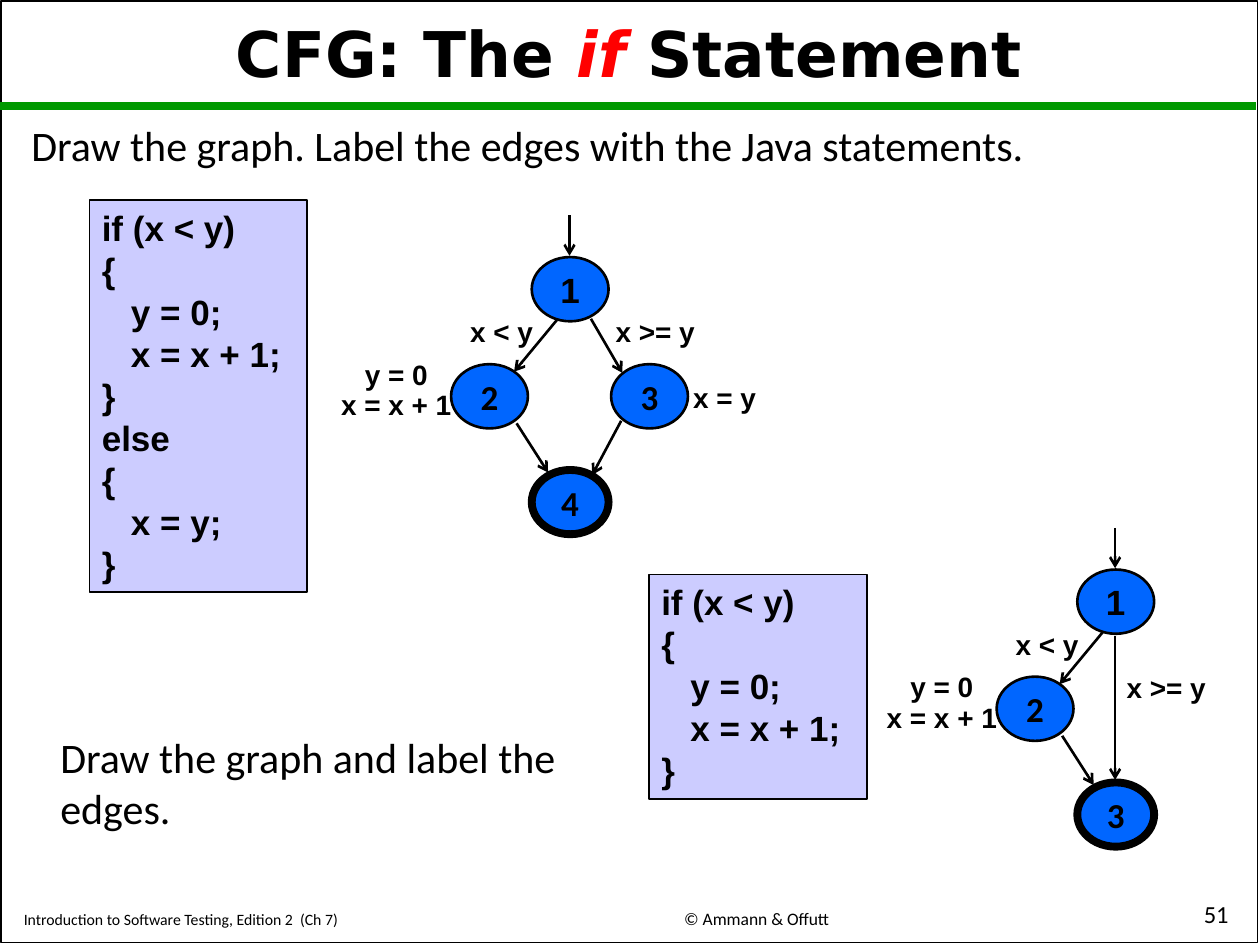
"""Build a slide with control flow graphs for if-else and if statements."""
from lxml import etree
from pptx import Presentation
from pptx import util as u
from pptx.dml.color import RGBColor
from pptx.enum import shapes, text
from pptx.oxml import ns

PX = 9144
COLORS = {"ink": "000000", "rule": "009900", "accent": "FF0000",
          "code": "CCCCFF", "node": "0066FF", "paper": "FFFFFF"}
LEFT, CENTER, RIGHT = text.PP_ALIGN.LEFT, text.PP_ALIGN.CENTER, text.PP_ALIGN.RIGHT
TOP, MIDDLE, BOTTOM = text.MSO_ANCHOR.TOP, text.MSO_ANCHOR.MIDDLE, text.MSO_ANCHOR.BOTTOM


def color(name):
    return RGBColor.from_string(COLORS[name])


class Board:
    """Holds the style and the current slide."""

    def __init__(self, slide):
        self.slide = slide
        self.target = slide.shapes

    def group(self):
        self.target = self.slide.shapes.add_group_shape().shapes

    def ungroup(self):
        self.target = self.slide.shapes

    def style(self, run, size, font, bold=False, ink="ink"):
        run.font.size, run.font.name, run.font.bold = u.Pt(size), font, bold
        run.font.color.rgb = color(ink)

    def set_words(self, frame, words, size, font, bold=False, align=LEFT, anchor=TOP):
        frame.text = words
        frame.word_wrap = True
        frame.vertical_anchor = anchor
        for paragraph in frame.paragraphs:
            paragraph.alignment = align
            for run in paragraph.runs:
                self.style(run, size, font, bold)

    def title(self, box, parts):
        title = self.slide.shapes.title
        title.left, title.top, title.width, title.height = (v * PX for v in box)
        frame = title.text_frame
        frame.auto_size = text.MSO_AUTO_SIZE.NONE
        frame.word_wrap = True
        frame.vertical_anchor = MIDDLE
        paragraph = frame.paragraphs[0]
        paragraph.alignment, paragraph.line_spacing = CENTER, 0.9
        for words, accent in parts:
            run = paragraph.add_run()
            run.text = words
            self.style(run, 36, "DejaVu Sans", True, "accent" if accent else "ink")
            run.font.italic = accent

    def shape(self, kind, box, fill=None, weight=None):
        shape = self.target.add_shape(kind, *(v * PX for v in box))
        shape.shadow.inherit = False
        if fill:
            shape.fill.solid()
            shape.fill.fore_color.rgb = color(fill)
        else:
            shape.fill.background()
        if weight:
            shape.line.color.rgb = color("ink")
            shape.line.width = u.Pt(weight)
        else:
            shape.line.fill.background()
        return shape

    def panel(self, box, words, size, font, fill, weight=None, bold=False):
        panel = self.shape(shapes.MSO_SHAPE.RECTANGLE, box, fill, weight)
        self.set_words(panel.text_frame, words, size, font, bold)

    def code(self, box, lines):
        self.panel(box, "\n".join(lines), 20, "Arial", "code", 1, True)

    def text(self, box, words, size, font, **look):
        textbox = self.target.add_textbox(*(v * PX for v in box))
        self.set_words(textbox.text_frame, words, size, font, **look)
        return textbox.text_frame

    def label(self, box, words):
        return self.text(box, words, 16, "Arial", bold=True, align=CENTER)

    def node(self, x, y, number, font="Calibri", final=False):
        node = self.shape(shapes.MSO_SHAPE.OVAL, (x - 30, y - 25, 61, 51),
                          "node", 4.5 if final else 1.5)
        frame = node.text_frame
        frame.margin_left = frame.margin_right = frame.margin_top = frame.margin_bottom = 0
        self.set_words(frame, number, 20, font, True, CENTER, MIDDLE)

    def line(self, x1, y1, x2, y2, weight=1.5, ink="ink", arrow=True):
        line = self.target.add_connector(
            shapes.MSO_CONNECTOR.STRAIGHT, x1 * PX, y1 * PX, x2 * PX, y2 * PX)
        line.line.color.rgb = color(ink)
        line.line.width = u.Pt(weight)
        if arrow:
            etree.SubElement(line.get_or_add_ln(), ns.qn("a:tailEnd"), type="arrow")
        etree.SubElement(line._element.spPr, ns.qn("a:effectLst"))

    def branch(self, x, y, last):
        """Draw the path shared by both graphs, with node 1 centred at x, y."""
        self.node(x, y + 169, last, final=True)
        self.node(x, y, "1", "Arial")
        self.node(x - 64, y + 85, "2")
        self.line(x, y - 58, x, y - 26)
        self.line(x - 10, y + 25, x - 44, y + 66)
        self.line(x - 42, y + 107, x - 17, y + 146)
        self.label((x - 95, y + 16, 82, 37), "x < y")
        frame = self.label((x - 193, y + 61, 111, 51), "y = 0\nx = x + 1")
        for paragraph in frame.paragraphs:
            paragraph.line_spacing = 0.5
        frame.paragraphs[1].space_before = u.Pt(8)


def main():
    deck = Presentation()
    deck.slide_width, deck.slide_height = 1000 * PX, 750 * PX
    board = Board(deck.slides.add_slide(deck.slide_layouts[5]))

    board.shape(shapes.MSO_SHAPE.RECTANGLE, (1, 1, 997, 747), weight=1)
    board.line(0, 84, 997, 84, 4.5, "rule", arrow=False)
    board.text((9, 712, 412, 30), "Introduction to Software Testing, Edition 2  (Ch 7)",
               9, "Calibri", anchor=BOTTOM)
    board.text((442, 711, 317, 31), "© Ammann & Offutt", 10, "Calibri",
               align=CENTER, anchor=BOTTOM)
    board.text((789, 710, 196, 32), "51", 14, "Calibri", align=RIGHT, anchor=BOTTOM)
    board.title((9, 11, 980, 69),
                [("CFG: The ", False), ("if", True), (" Statement", False)])

    if_part = ["if (x < y)", "{", "   y = 0;", "   x = x + 1;", "}"]
    else_part = ["else", "{", "   x = y;", "}"]
    board.code((71, 159, 173, 311), if_part + else_part)
    board.code((515, 456, 173, 178), if_part)

    x, y = 452, 229
    board.group()
    board.branch(x, y, "4")
    board.node(x + 63, y + 85, "3")
    board.line(x + 17, y + 24, x + 42, y + 67)
    board.line(x + 41, y + 105, x + 18, y + 148)
    board.label((x + 20, y + 16, 96, 37), "x >= y")
    board.label((x + 82, y + 68, 82, 37), "x = y")
    board.ungroup()

    x, y = 885, 477
    board.group()
    board.branch(x, y, "3")
    board.line(x, y + 28, x, y + 142)
    board.label((x - 6, y + 50, 93, 37), "x >= y")
    board.ungroup()

    board.panel((15, 90, 908, 50), "Draw the graph. Label the edges with the Java statements.",
                24, "Calibri", "paper")
    board.panel((38, 576, 461, 91), "Draw the graph and label the edges.",
                24, "Calibri", "paper")
    deck.save("out.pptx")


if __name__ == "__main__":
    main()
